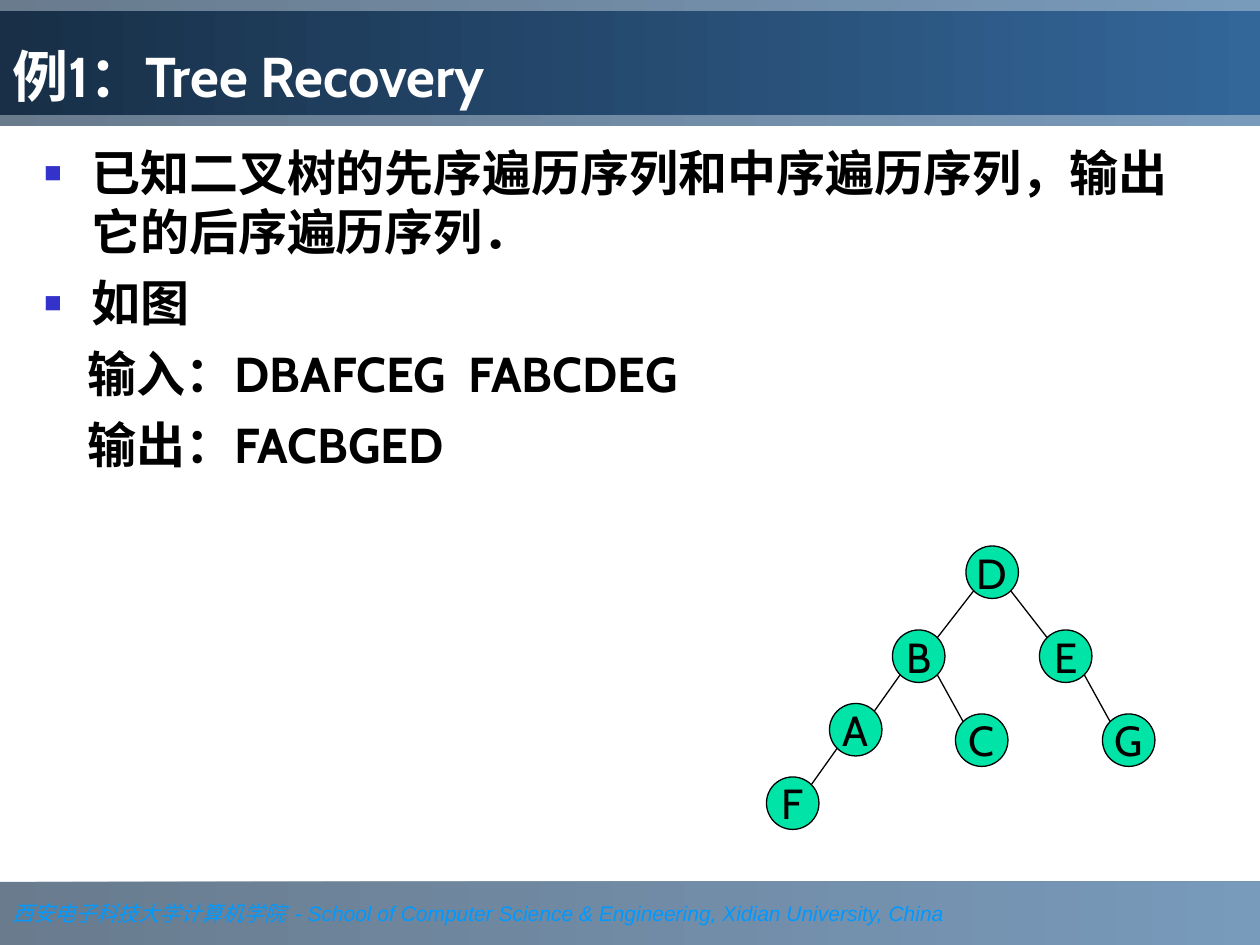
from lxml import etree
from pptx import Presentation
from pptx.dml.color import RGBColor
from pptx.enum.shapes import MSO_CONNECTOR, MSO_SHAPE
from pptx.enum.text import MSO_ANCHOR, MSO_AUTO_SIZE, PP_ALIGN
from pptx.oxml.ns import qn
from pptx.util import Pt

RECT, OVAL = MSO_SHAPE.RECTANGLE, MSO_SHAPE.OVAL
STRAIGHT = MSO_CONNECTOR.STRAIGHT
MIDDLE, BOTTOM, TOP = MSO_ANCHOR.MIDDLE, MSO_ANCHOR.BOTTOM, MSO_ANCHOR.TOP
LEFT, CENTER = PP_ALIGN.LEFT, PP_ALIGN.CENTER
NO_FIT = MSO_AUTO_SIZE.NONE

WHITE = RGBColor(0xFF, 0xFF, 0xFF)
BLACK = RGBColor(0x00, 0x00, 0x00)
NAVY = RGBColor(0x18, 0x2F, 0x47)
SLATE = RGBColor(0x1C, 0x38, 0x53)
STEEL = RGBColor(0x33, 0x66, 0x99)
SKY = RGBColor(0x00, 0x99, 0xFF)
BULLET = RGBColor(0x33, 0x33, 0xCC)
GREEN = RGBColor(0x00, 0xE4, 0xA8)

TITLE_FONT = {"name": "Cabin", "size": Pt(32), "bold": True}
BODY_FONT = {"name": "Cabin", "size": Pt(28), "bold": True}
NODE_FONT = {"name": "Cabin", "size": Pt(24)}
FOOTER_FONT = {"size": Pt(12), "italic": True}

# Text and whether the paragraph has a bullet
BODY = [
    ("已知二叉树的先序遍历序列和中序遍历序列，输出它的后序遍历序列．", True),
    ("如图", True),
    ("输入：DBAFCEG  FABCDEG", False),
    ("输出：FACBGED", False),
]
FOOTER = [
    ("西安电子科技大学计算机学院  ", "Times New Roman"),
    ("- School of Computer Science & Engineering, Xidian University, China", "Arial"),
]

# Node offsets in points from the tree's corner, and parent-child pairs
NODE_SIZE = 30
NODES = {"D": (114, 0), "B": (72, 48), "A": (36, 90), "F": (0, 132),
         "C": (108, 96), "E": (156, 48), "G": (192, 96)}
EDGES = ["DB", "BA", "AF", "DE", "EG", "BC"]


def style(font, color, values):
    for key, value in values.items():
        setattr(font, key, value)
    font.color.rgb = color


def place(sp, box):
    sp.left, sp.top, sp.width, sp.height = (Pt(v) for v in box)


def gradient(sp, start, end, opacity=100):
    sp.fill.gradient()
    sp.fill.gradient_angle = 0
    for stop, color in zip(sp.fill.gradient_stops, (start, end)):
        stop.color.rgb = color
    if opacity < 100:
        for clr in sp._element.spPr.iter(qn("a:srgbClr")):
            etree.SubElement(clr, qn("a:alpha"), val=str(opacity * 1000))


def add_band(slide, box):
    """Translucent band behind the placeholders."""
    sp = slide.shapes.add_shape(RECT, *(Pt(v) for v in box))
    sp.shadow.inherit = False
    sp.line.fill.background()
    gradient(sp, SLATE, STEEL, opacity=66)
    slide.shapes._spTree.insert(2, sp._element)
    return sp


def add_footer(slide, box):
    tf = add_band(slide, box).text_frame
    tf.word_wrap = True
    tf.vertical_anchor = MIDDLE
    p = tf.paragraphs[0]
    p.alignment = LEFT
    for text, name in FOOTER:
        r = p.add_run()
        r.text = text
        style(r.font, SKY, {**FOOTER_FONT, "name": name})


def fill_title(slide, box):
    sp = slide.shapes.title
    place(sp, box)
    gradient(sp, NAVY, STEEL)
    tf = sp.text_frame
    tf.text = "例1：Tree Recovery"
    tf.auto_size = NO_FIT
    tf.vertical_anchor = BOTTOM
    p = tf.paragraphs[0]
    p.alignment = LEFT
    style(p.runs[0].font, WHITE, TITLE_FONT)


def set_bullet(p, bulleted):
    pPr = p._p.get_or_add_pPr()
    pPr.set("marL", str(Pt(27 if bulleted else 25)))
    pPr.set("indent", str(Pt(-27 if bulleted else 0)))
    if not bulleted:
        etree.SubElement(pPr, qn("a:buNone"))
        return
    clr = etree.SubElement(pPr, qn("a:buClr"))
    etree.SubElement(clr, qn("a:srgbClr"), val=str(BULLET))
    etree.SubElement(pPr, qn("a:buSzPct"), val="60000")
    etree.SubElement(pPr, qn("a:buChar"), char="■")


def fill_body(slide, box):
    sp = slide.placeholders[1]
    place(sp, box)
    tf = sp.text_frame
    tf.auto_size = NO_FIT
    tf.vertical_anchor = TOP
    for i, (text, bulleted) in enumerate(BODY):
        p = tf.add_paragraph() if i else tf.paragraphs[0]
        set_bullet(p, bulleted)
        p.space_before = Pt(7 if i else 0)
        r = p.add_run()
        r.text = text
        style(r.font, BLACK, BODY_FONT)


def outline(line):
    line.color.rgb = BLACK
    line.width = Pt(0.75)


def add_tree(slide, left, top):
    shapes = slide.shapes.add_group_shape().shapes
    # Nodes
    for label, (x, y) in NODES.items():
        sp = shapes.add_shape(OVAL, Pt(left + x), Pt(top + y),
                              Pt(NODE_SIZE), Pt(NODE_SIZE))
        sp.shadow.inherit = False
        sp.fill.solid()
        sp.fill.fore_color.rgb = GREEN
        outline(sp.line)
        tf = sp.text_frame
        tf.word_wrap = False
        tf.vertical_anchor = MIDDLE
        p = tf.paragraphs[0]
        p.alignment = CENTER
        r = p.add_run()
        r.text = label
        style(r.font, BLACK, NODE_FONT)
    # Edges join the diagonal points of the circles
    reach = NODE_SIZE / 2 * 0.5 ** 0.5
    for parent, child in EDGES:
        (x1, y1), (x2, y2) = NODES[parent], NODES[child]
        dx = reach if x2 > x1 else -reach
        cx, cy = left + NODE_SIZE / 2, top + NODE_SIZE / 2
        edge = shapes.add_connector(
            STRAIGHT, Pt(cx + x1 + dx), Pt(cy + y1 + reach),
            Pt(cx + x2 - dx), Pt(cy + y2 - reach))
        outline(edge.line)
        etree.SubElement(edge._element.spPr, qn("a:effectLst"))


def main():
    prs = Presentation()
    prs.slide_width, prs.slide_height = Pt(720), Pt(540)
    slide = prs.slides.add_slide(prs.slide_layouts[1])
    add_band(slide, (0, 0, 720, 72))
    add_footer(slide, (0, 504, 720, 36))
    fill_title(slide, (0, 6, 720, 60))
    fill_body(slide, (18, 78, 678, 420))
    add_tree(slide, 438, 312)
    prs.save("out.pptx")


if __name__ == "__main__":
    main()
